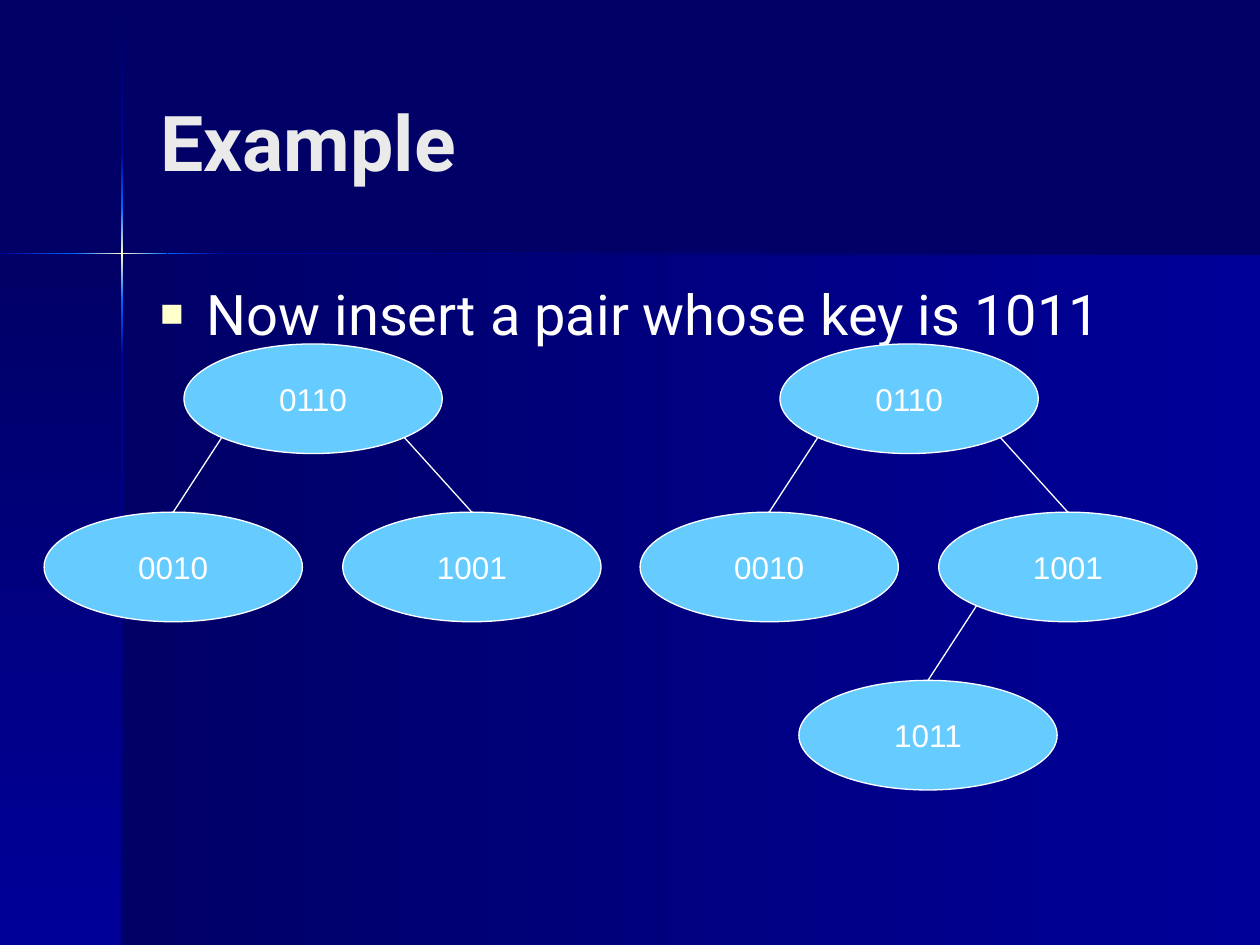
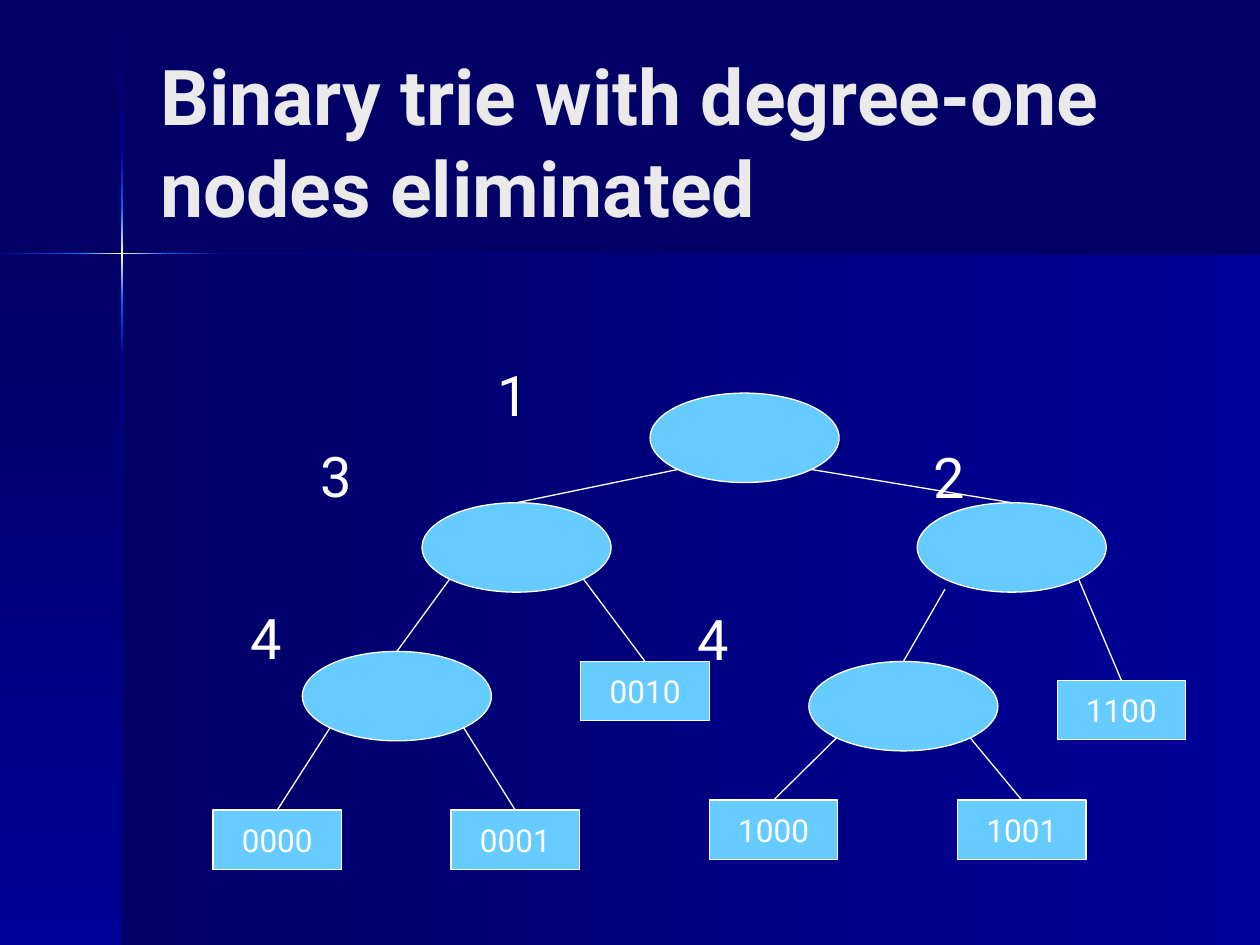
from dataclasses import dataclass
from math import sqrt

from lxml import etree
from pptx import Presentation
from pptx.dml.color import RGBColor
from pptx.enum.shapes import MSO_CONNECTOR, MSO_SHAPE
from pptx.enum.text import MSO_ANCHOR, MSO_AUTO_SIZE, PP_ALIGN
from pptx.oxml.ns import qn
from pptx.util import Inches, Pt


@dataclass(frozen=True)
class Theme:
    night: str = "000066"
    navy: str = "000099"
    blue: str = "0066FF"
    cream: str = "FFFFCC"
    node: str = "66CCFF"
    white: str = "FFFFFF"
    title: str = "EAEAEA"
    font: str = "Roboto"
    key_font: str = "Arial"
    title_size: int = 44
    body_size: int = 32
    node_size: int = 18
    line_width: float = 0.75


@dataclass(frozen=True)
class Node:
    left: float
    top: float
    label: str = ""
    parent: str = ""
    leaf: bool = False
    edge_drop: float = 0


THEME = Theme()
SLIDE_WIDTH, SLIDE_HEIGHT = 10, 7.5
TITLE_BOX = (1.17, 0.33, 8.25, 1.57)
BODY_BOX = (1.17, 2.17, 8.25, 4.5)
DEPTH_BOX = (1.46, 2.81, 8.25, 4.5)

KEY_SIZE = (2.05, 0.87)
BRANCH_SIZE = (1.5, 0.71)
LEAF_SIZE = (1.02, 0.47)

ROW = 1.335
KEY_TREE = {
    "root": Node(1.11, 0, "0110"),
    "left": Node(0, ROW, "0010", "root"),
    "right": Node(2.37, ROW, "1001", "root"),
}
GROWN_TREE = KEY_TREE | {"new": Node(1.26, 2 * ROW, "1011", "right")}

TRIE = {
    "root": Node(3.47, 0),
    "0": Node(1.66, 0.87, parent="root"),
    "1": Node(5.59, 0.87, parent="root"),
    "00": Node(0.71, 2.05, parent="0"),
    "10": Node(4.73, 2.13, parent="1", edge_drop=0.08),
    "0010": Node(2.92, 2.13, "0010", "0", True),
    "0000": Node(0, 3.31, "0000", "00", True),
    "0001": Node(1.89, 3.31, "0001", "00", True),
    "1000": Node(3.94, 3.23, "1000", "10", True),
    "1001": Node(5.91, 3.23, "1001", "10", True),
    "1100": Node(6.7, 2.28, "1100", "1", True),
}


def color(code):
    return RGBColor.from_string(code)


def inches(values):
    return [Inches(value) for value in values]


def set_font(paragraph, size, code, name=THEME.font, bold=False):
    font = paragraph.font
    font.name, font.size, font.bold = name, Pt(size), bold
    font.color.rgb = color(code)


def fill_gradient(shape, colors, angle):
    """Spread the colours evenly; the angle turns clockwise from left to right."""
    shape.fill.gradient()
    gradient = shape.element.spPr.find(qn("a:gradFill"))
    stops = gradient.find(qn("a:gsLst"))
    for stop in list(stops):
        stops.remove(stop)
    for index, code in enumerate(colors):
        position = str(100000 * index // (len(colors) - 1))
        stop = etree.SubElement(stops, qn("a:gs"), pos=position)
        etree.SubElement(stop, qn("a:srgbClr"), val=code)
    gradient.find(qn("a:lin")).set("ang", str(angle * 60000))


def move_bands_to_master(slide, master):
    """Draw the panels and the crossing light beams, shared by every slide."""
    night, navy, blue, cream = THEME.night, THEME.navy, THEME.blue, THEME.cream
    glow = (blue, cream, blue)
    down, leftward = 90, 180
    beam_x, beam_width = 0.96, 0.02
    beam_y, beam_height = 2.01, 0.01
    bands = [
        ((0.97, 2.02, 9.03, 5.48), (navy, night), leftward),
        ((0, 2.02, 0.97, 5.48), (night, navy), down),
    ]
    for top, height, colors in (
        (0, 1.21, (night, navy)),
        (2.82, 4.68, (navy, night)),
        (2.38, 0.44, (blue, navy)),
        (1.21, 0.44, (navy, blue)),
        (1.65, 0.73, glow),
    ):
        bands.append(((beam_x, top, beam_width, height), colors, down))
    for left, width, colors in (
        (1.77, 8.23, (night, navy)),
        (0, 0.61, (blue, navy)),
        (1.33, 0.44, (navy, blue)),
        (0.6, 0.73, glow),
    ):
        bands.append(((left, beam_y, width, beam_height), colors, leftward))

    for index, (box, colors, angle) in enumerate(bands):
        band = slide.shapes.add_shape(MSO_SHAPE.RECTANGLE, *inches(box))
        band.shadow.inherit = False
        band.line.fill.background()
        fill_gradient(band, colors, angle)
        master.shapes.element.insert(2 + index, band.element)


def place_text(placeholder, box, lines, anchor):
    placeholder.left, placeholder.top, placeholder.width, placeholder.height = inches(box)
    frame = placeholder.text_frame
    frame.text = "\n".join(lines)
    frame.auto_size = MSO_AUTO_SIZE.NONE
    frame.word_wrap = True
    frame.vertical_anchor = anchor
    return frame.paragraphs


def add_title(slide, text):
    [paragraph] = place_text(slide.shapes.title, TITLE_BOX, [text], MSO_ANCHOR.MIDDLE)
    paragraph.alignment = PP_ALIGN.LEFT
    set_font(paragraph, THEME.title_size, THEME.title, bold=True)


def add_body(slide, box, lines):
    paragraphs = place_text(slide.placeholders[1], box, lines, MSO_ANCHOR.TOP)
    for paragraph in paragraphs:
        paragraph.space_before = Pt(8)
        set_font(paragraph, THEME.body_size, THEME.white)
    return paragraphs


def indent(paragraph, margin, first_line=0):
    properties = paragraph._p.get_or_add_pPr()
    properties.set("marL", str(Inches(margin)))
    properties.set("indent", str(Inches(first_line)))
    return properties.find(qn("a:spcBef"))


def add_bullet(paragraph):
    spacing = indent(paragraph, 0.37, -0.37)
    bullet_color = etree.Element(qn("a:buClr"))
    etree.SubElement(bullet_color, qn("a:srgbClr"), val=THEME.cream)
    size = etree.Element(qn("a:buSzPct"), val="70000")
    character = etree.Element(qn("a:buChar"), char="■")
    for element in (character, size, bullet_color):
        spacing.addnext(element)


def add_depths(slide, box):
    """List the left-hand depths in the body and set the right-hand ones beside it."""
    left_depths = {"1": 2.39, "3": 0.98, "4": 0.43}
    paragraphs = add_body(slide, box, left_depths)
    for paragraph, margin in zip(paragraphs, left_depths.values()):
        indent(paragraph, margin).addnext(etree.Element(qn("a:buNone")))
    paragraphs[-1].space_before = Pt(54)

    for text, left, top in (("2", 5.85, 0.65), ("4", 3.98, 1.94)):
        place = (box[0] + left, box[1] + top, 0.45, 0.64)
        frame = slide.shapes.add_textbox(*inches(place)).text_frame
        frame.text = text
        frame.word_wrap = True
        set_font(frame.paragraphs[0], THEME.body_size, THEME.white)


def style_line(line):
    line.color.rgb = color(THEME.white)
    line.width = Pt(THEME.line_width)


def add_node(slide, node, box, font):
    kind = MSO_SHAPE.RECTANGLE if node.leaf else MSO_SHAPE.OVAL
    shape = slide.shapes.add_shape(kind, *inches(box))
    shape.shadow.inherit = False
    shape.fill.solid()
    shape.fill.fore_color.rgb = color(THEME.node)
    style_line(shape.line)
    if node.label:
        frame = shape.text_frame
        frame.text = node.label
        frame.word_wrap = False
        frame.vertical_anchor = MSO_ANCHOR.MIDDLE
        paragraph = frame.paragraphs[0]
        paragraph.alignment = PP_ALIGN.CENTER
        set_font(paragraph, THEME.node_size, THEME.white, font)


def add_edge(slide, parent_box, child_box, drop):
    """Join the lower diagonal point of the parent's oval to the child's top."""
    left, top, width, height = parent_box
    child_x = child_box[0] + child_box[2] / 2
    middle = left + width / 2
    reach = 1 / (2 * sqrt(2))
    start_x = middle + width * reach * (1 if child_x > middle else -1)
    start_y = top + height * (0.5 + reach) + drop
    edge = slide.shapes.add_connector(
        MSO_CONNECTOR.STRAIGHT, *inches((start_x, start_y, child_x, child_box[1]))
    )
    style_line(edge.line)
    etree.SubElement(edge.element.spPr, qn("a:effectLst"))


def add_tree(slide, left, top, nodes, size, font):
    boxes = {
        name: (left + node.left, top + node.top, *(LEAF_SIZE if node.leaf else size))
        for name, node in nodes.items()
    }
    for name, node in nodes.items():
        add_node(slide, node, boxes[name], font)
    for name, node in nodes.items():
        if node.parent:
            add_edge(slide, boxes[node.parent], boxes[name], node.edge_drop)


def build_insertion_slide(slide):
    add_title(slide, "Example")
    [paragraph] = add_body(slide, BODY_BOX, ["Now insert a pair whose key is 1011"])
    add_bullet(paragraph)
    for left, tree in ((0.35, KEY_TREE), (5.08, GROWN_TREE)):
        add_tree(slide, left, 2.73, tree, KEY_SIZE, THEME.key_font)


def build_trie_slide(slide):
    add_title(slide, "Binary trie with degree-one nodes eliminated")
    add_depths(slide, DEPTH_BOX)
    add_tree(slide, 1.69, 3.12, TRIE, BRANCH_SIZE, THEME.font)


def main():
    presentation = Presentation()
    presentation.slide_width = Inches(SLIDE_WIDTH)
    presentation.slide_height = Inches(SLIDE_HEIGHT)
    master = presentation.slide_master
    master.background.fill.solid()
    master.background.fill.fore_color.rgb = color(THEME.night)
    layout = presentation.slide_layouts[1]
    insertion, trie = [presentation.slides.add_slide(layout) for _ in range(2)]
    move_bands_to_master(insertion, master)
    build_insertion_slide(insertion)
    build_trie_slide(trie)
    presentation.save("out.pptx")


if __name__ == "__main__":
    main()
